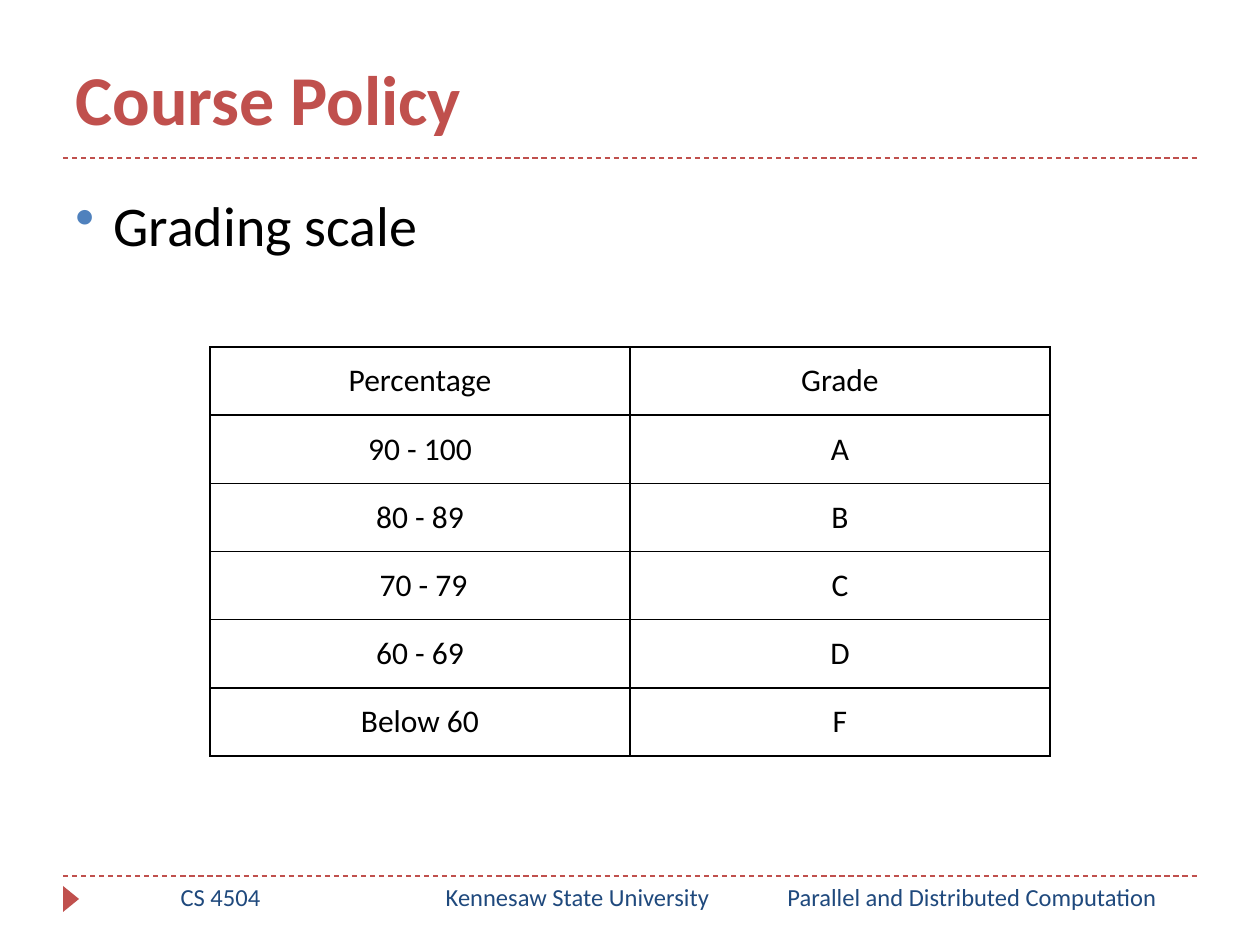
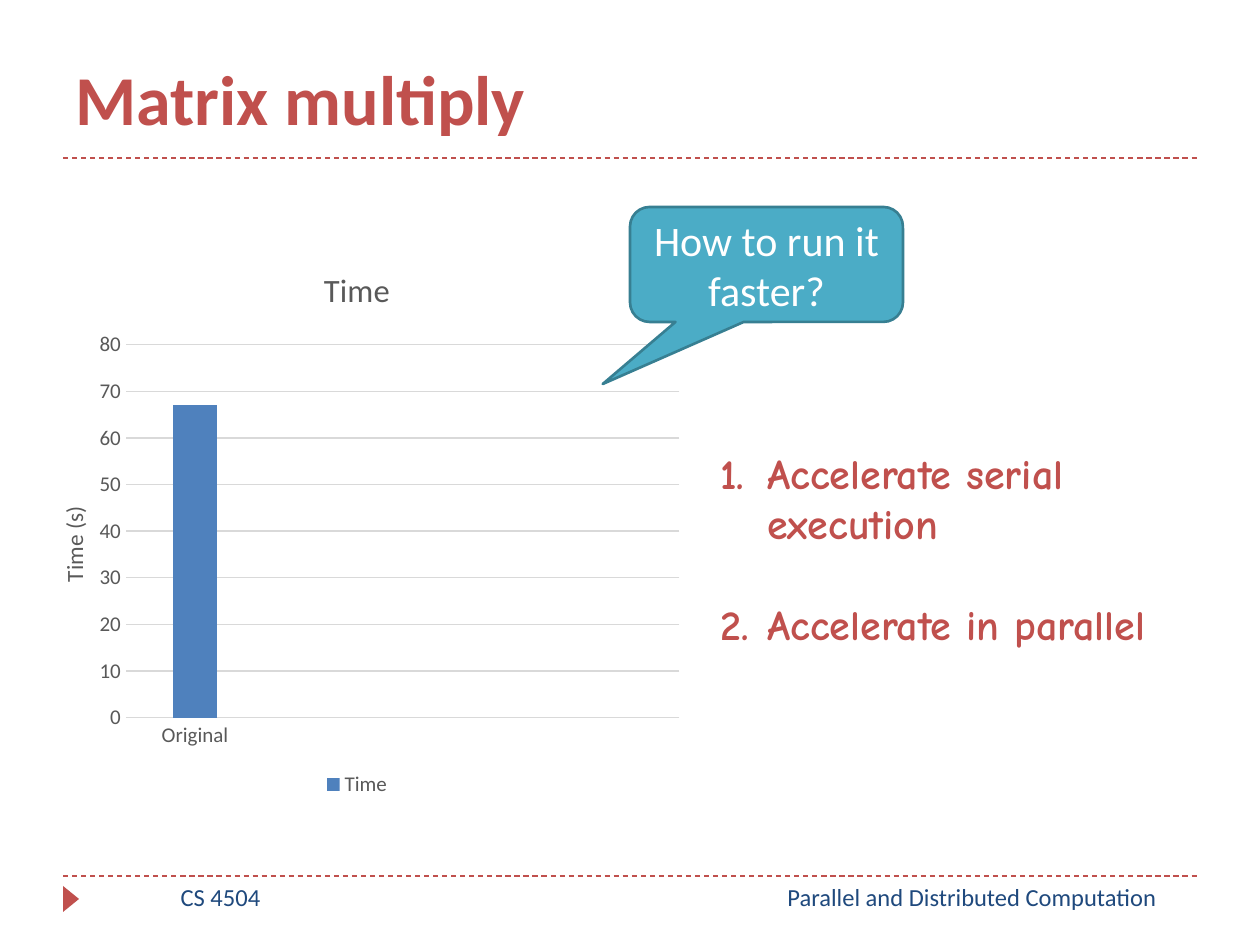
import pptx
import pptx.chart.data
import pptx.dml.color
import pptx.enum.chart
import pptx.enum.dml
import pptx.enum.shapes
import pptx.enum.text
import pptx.oxml
import pptx.oxml.ns
import pptx.util
from lxml import etree

RGBColor = pptx.dml.color.RGBColor
RED = RGBColor(0xC0, 0x50, 0x4D)
NAVY = RGBColor(0x1F, 0x49, 0x7D)
BLUE = RGBColor(0x4F, 0x81, 0xBD)
TEAL = RGBColor(0x4B, 0xAC, 0xC6)
DARK_TEAL = RGBColor(0x37, 0x7F, 0x92)
BLACK = RGBColor(0, 0, 0)
WHITE = RGBColor(0xFF, 0xFF, 0xFF)
GRAY = RGBColor(0x59, 0x59, 0x59)
LIGHT_GRAY = RGBColor(0xD9, 0xD9, 0xD9)

PX_PER_INCH = 126
RULES_Y = (158, 876)
RULE_X = (63, 1197)
TITLE_BOX = (63, 10, 1134, 136)
FOOTERS = {
    "course": ("CS 4504", (84, 876, 273, 50)),
    "school": ("Kennesaw State University", (336, 876, 483, 50)),
    "subject": ("Parallel and Distributed Computation", (746, 876, 452, 50)),
}

GRADES = [
    ("Percentage", "Grade"),
    ("90 - 100", "A"),
    ("80 - 89", "B"),
    (" 70 - 79", "C"),
    ("60 - 69", "D"),
    ("Below 60", "F"),
]
GRADES_BOX = (210, 347, 840, 409)

RUN_TIMES = [("Original", 67), ("", None), ("", None), ("", None)]
CHART_BOX = (21, 243, 672, 559)
PLOT_BOX = (126, 345, 554, 373)
AXIS_TITLE_AT = (54, 502)
STEPS = ["Accelerate serial execution", "Accelerate in parallel"]

TITLE_FONT = {"name": "Calibri", "size": 40, "bold": True, "color": RED}
FOOTER_FONT = {"name": "Calibri", "size": 14, "color": NAVY}
BODY_FONT = {"name": "Calibri", "size": 32, "color": BLACK}
CELL_FONT = {"name": "Calibri", "size": 18, "color": BLACK}
CALLOUT_FONT = {"name": "Calibri", "size": 24, "color": WHITE}
STEP_FONT = {"name": "Comic Neue", "size": 24, "bold": True, "color": RED}
CHART_FONT = {"name": "Calibri", "size": 12, "bold": False, "color": GRAY}

CENTER = pptx.enum.text.PP_ALIGN.CENTER
MIDDLE = pptx.enum.text.MSO_ANCHOR.MIDDLE


def emu(*pixels):
    return [round(value * 914400 / PX_PER_INCH) for value in pixels]


def set_font(font, values):
    for name, value in values.items():
        if name == "color":
            font.color.rgb = value
        else:
            setattr(font, name, pptx.util.Pt(value) if name == "size" else value)


def write(paragraph, text, font, **formats):
    run = paragraph.add_run()
    run.text = text
    set_font(run.font, font)
    for name, value in formats.items():
        setattr(paragraph, name, value)


def add_text(slide, box):
    frame = slide.shapes.add_textbox(*emu(*box)).text_frame
    frame.word_wrap = True
    return frame


def add_bullet(paragraph, indent, marker, color=None):
    properties = paragraph._p.get_or_add_pPr()
    distance = emu(indent)[0]
    properties.set("marL", str(distance))
    properties.set("indent", str(-distance))
    if color is not None:
        holder = pptx.oxml.ns.qn("a:buClr")
        etree.SubElement(etree.SubElement(properties, holder),
                         pptx.oxml.ns.qn("a:srgbClr"), val=str(color))
    tag, attributes = marker
    etree.SubElement(properties, pptx.oxml.ns.qn(tag), **attributes)


def style_shape(shape, fill, line=None, width=0):
    shape.shadow.inherit = False
    shape.fill.solid()
    shape.fill.fore_color.rgb = fill
    if line is None:
        shape.line.fill.background()
    else:
        shape.line.color.rgb = line
        shape.line.width = pptx.util.Pt(width)


def add_slide(presentation, title, footers):
    """Add a slide with its title, dashed rules, corner marker and footers."""
    slide = presentation.slides.add_slide(presentation.slide_layouts[5])
    for y in RULES_Y:
        rule = slide.shapes.add_connector(
            pptx.enum.shapes.MSO_CONNECTOR.STRAIGHT, *emu(RULE_X[0], y, RULE_X[1], y))
        rule.line.color.rgb = RED
        rule.line.width = pptx.util.Pt(0.75)
        rule.line.dash_style = pptx.enum.dml.MSO_LINE.DASH
        etree.SubElement(rule._element.spPr, pptx.oxml.ns.qn("a:effectLst"))
    marker = slide.shapes.add_shape(
        pptx.enum.shapes.MSO_SHAPE.ISOSCELES_TRIANGLE, *emu(58, 891, 26, 16))
    marker.rotation = 90
    style_shape(marker, RED)

    heading = slide.shapes.title
    heading.left, heading.top, heading.width, heading.height = emu(*TITLE_BOX)
    frame = heading.text_frame
    frame.auto_size = pptx.enum.text.MSO_AUTO_SIZE.NONE
    frame.vertical_anchor = pptx.enum.text.MSO_ANCHOR.BOTTOM
    write(frame.paragraphs[0], title, TITLE_FONT,
          alignment=pptx.enum.text.PP_ALIGN.LEFT)
    for name in footers:
        text, box = FOOTERS[name]
        write(add_text(slide, box).paragraphs[0], text, FOOTER_FONT, alignment=CENTER)
    return slide


def add_borders(cell):
    properties = cell._tc.get_or_add_tcPr()
    for index, side in enumerate(("lnL", "lnR", "lnT", "lnB")):
        properties.insert(index, pptx.oxml.parse_xml(
            f'<a:{side} {pptx.oxml.ns.nsdecls("a")} w="12700"><a:solidFill>'
            f'<a:srgbClr val="{BLACK}"/></a:solidFill></a:{side}>'))


def add_grades(slide):
    table = slide.shapes.add_table(len(GRADES), len(GRADES[0]), *emu(*GRADES_BOX)).table
    table.first_row = table.horz_banding = False
    for row, texts in enumerate(GRADES):
        for column, text in enumerate(texts):
            cell = table.cell(row, column)
            cell.fill.background()
            cell.vertical_anchor = MIDDLE
            write(cell.text_frame.paragraphs[0], text, CELL_FONT, alignment=CENTER)
            add_borders(cell)


def chart_layout(x, y, width=None, height=None):
    """Make a manual layout from slide pixels, as shares of the chart's box."""
    left, top, full_width, full_height = CHART_BOX
    shares = {"x": (x - left) / full_width, "y": (y - top) / full_height}
    target = ""
    if width:
        shares.update(w=width / full_width, h=height / full_height)
        target = '<c:layoutTarget val="inner"/>'
    modes = '<c:xMode val="edge"/><c:yMode val="edge"/>'
    values = "".join(f'<c:{key} val="{value:.3f}"/>' for key, value in shares.items())
    return pptx.oxml.parse_xml(
        f'<c:layout {pptx.oxml.ns.nsdecls("c")}><c:manualLayout>'
        f'{target}{modes}{values}</c:manualLayout></c:layout>')


def place(element, layout, index):
    for old in element.findall(pptx.oxml.ns.qn("c:layout")):
        element.remove(old)
    element.insert(index, layout)


def add_run_times(slide):
    data = pptx.chart.data.CategoryChartData()
    data.categories = [name for name, _ in RUN_TIMES]
    data.add_series("Time", [value for _, value in RUN_TIMES])
    chart = slide.shapes.add_chart(
        pptx.enum.chart.XL_CHART_TYPE.COLUMN_CLUSTERED, *emu(*CHART_BOX), data).chart
    set_font(chart.font, CHART_FONT)
    chart.has_title = True
    write(chart.chart_title.text_frame.paragraphs[0], "Time", {**CHART_FONT, "size": 18.6})
    chart.has_legend = True
    chart.legend.position = pptx.enum.chart.XL_LEGEND_POSITION.BOTTOM
    chart.legend.include_in_layout = False
    set_font(chart.legend.font, CHART_FONT)

    plot = chart.plots[0]
    for name, value in {"gap_width": 219, "overlap": -27, "vary_by_categories": False}.items():
        setattr(plot, name, value)
    fill = plot.series[0].format.fill
    fill.solid()
    fill.fore_color.rgb = BLUE

    times = chart.value_axis
    for axis in (chart.category_axis, times):
        axis.major_tick_mark = axis.minor_tick_mark = pptx.enum.chart.XL_TICK_MARK.NONE
        set_font(axis.tick_labels.font, CHART_FONT)
    times.minimum_scale, times.maximum_scale, times.major_unit = 0, 80, 10
    times.format.line.fill.background()
    for line in (chart.category_axis.format.line, times.major_gridlines.format.line):
        line.color.rgb = LIGHT_GRAY
        line.width = pptx.util.Pt(0.75)
    write(times.axis_title.text_frame.paragraphs[0], "Time (s)", {**CHART_FONT, "size": 13.3})
    body = times.axis_title.text_frame._txBody.bodyPr
    body.set("rot", "-5400000")
    body.set("vert", "horz")
    place(times.axis_title._element, chart_layout(*AXIS_TITLE_AT), 1)
    place(chart._chartSpace.chart.plotArea, chart_layout(*PLOT_BOX), 0)


def add_callout(slide):
    callout = slide.shapes.add_shape(
        pptx.enum.shapes.MSO_SHAPE.ROUNDED_RECTANGULAR_CALLOUT, *emu(630, 207, 273, 115))
    for index, value in enumerate((-0.6, 1.04, 0.17)):
        callout.adjustments[index] = value
    style_shape(callout, TEAL, DARK_TEAL, 1.5)
    frame = callout.text_frame
    frame.word_wrap = True
    frame.vertical_anchor = MIDDLE
    write(frame.paragraphs[0], "How to run it faster?", CALLOUT_FONT, alignment=CENTER)


def add_steps(slide):
    frame = add_text(slide, (708, 441, 529, 216))
    for index, step in enumerate(STEPS):
        paragraph = frame.add_paragraph() if index else frame.paragraphs[0]
        add_bullet(paragraph, 47, ("a:buAutoNum", {"type": "arabicPeriod"}))
        write(paragraph, step, STEP_FONT, space_before=pptx.util.Pt(29 if index else 0))


def main():
    presentation = pptx.Presentation()
    presentation.slide_width, presentation.slide_height = emu(1260, 945)

    policy = add_slide(presentation, "Course Policy", ("course", "school", "subject"))
    grading = add_text(policy, (63, 168, 1134, 120)).paragraphs[0]
    add_bullet(grading, 38, ("a:buChar", {"char": "•"}), BLUE)
    write(grading, "Grading scale", BODY_FONT, line_spacing=1.25)
    add_grades(policy)

    multiply = add_slide(presentation, "Matrix multiply", ("course", "subject"))
    add_run_times(multiply)
    add_callout(multiply)
    add_steps(multiply)
    presentation.save("out.pptx")


if __name__ == "__main__":
    main()
